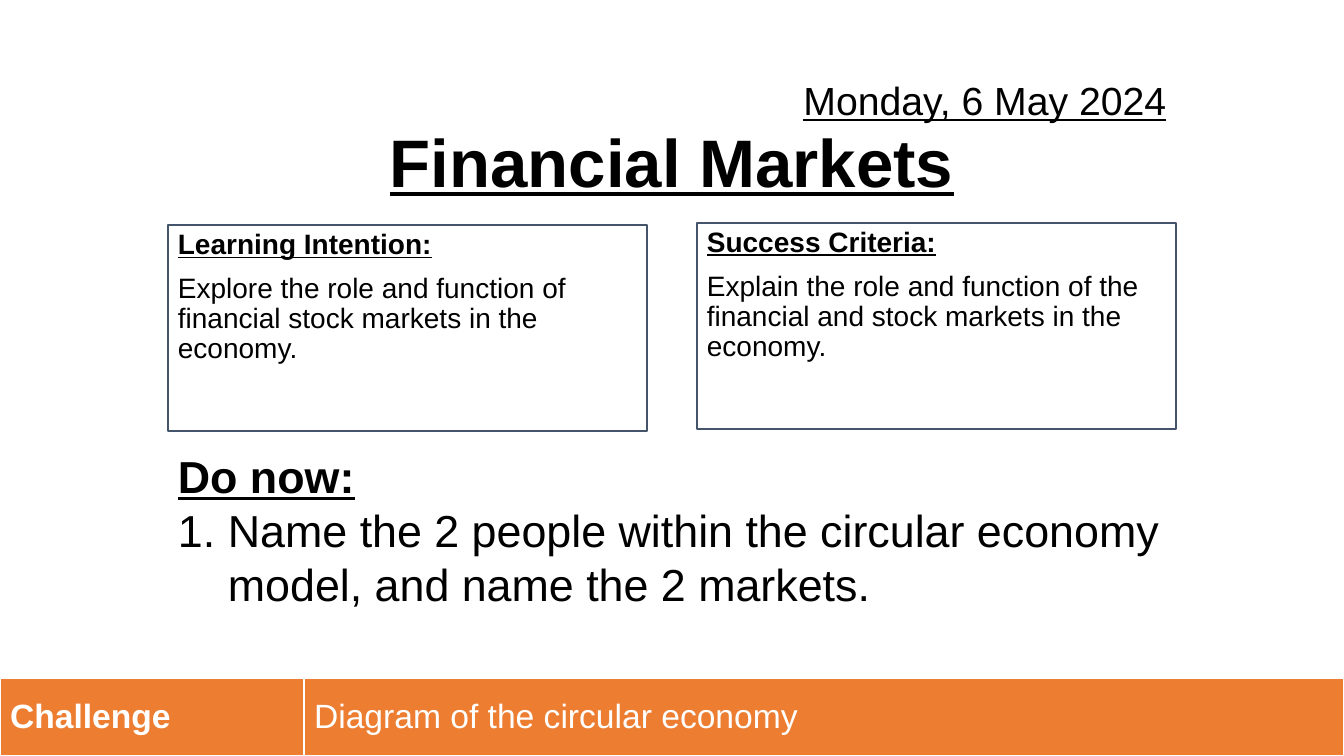
from lxml import etree
from pptx import Presentation, util as u
from pptx.dml.color import RGBColor
from pptx.enum import shapes, text
from pptx.oxml.ns import qn

SCALE = 914400 / 100.8
BLACK, WHITE, NAVY, ORANGE = "000000", "FFFFFF", "44546A", "ED7D31"
LEFT, RIGHT, MID = text.PP_ALIGN.LEFT, text.PP_ALIGN.RIGHT, text.PP_ALIGN.CENTER


def px(n):
    return u.Emu(round(n * SCALE))


def rgb(code):
    return RGBColor.from_string(code)


class Deck:
    def __init__(self, wide, high, font):
        self.prs = Presentation()
        self.prs.slide_width, self.prs.slide_height = px(wide), px(high)
        self.font = font
        self.slide = self.prs.slides.add_slide(self.prs.slide_layouts[6])

    def run(self, para, words, size, color=BLACK, bold=False, under=False):
        run = para.add_run()
        run.text = words
        font = run.font
        font.name, font.size = self.font, u.Pt(size)
        font.bold, font.underline = bold, under
        font.color.rgb = rgb(color)

    def text(self, at, words, size, bold=False, align=LEFT, line=1.0,
             anchor=text.MSO_ANCHOR.TOP):
        """Add an underlined line of text in its own box; return the frame."""
        frame = self.slide.shapes.add_textbox(*map(px, at)).text_frame
        frame.word_wrap = True
        frame.vertical_anchor = anchor
        para = frame.paragraphs[0]
        para.alignment, para.line_spacing = align, line
        self.run(para, words, size, bold=bold, under=True)
        return frame

    def number(self, frame, words, size, indent):
        """Add an automatically numbered paragraph with a hanging indent."""
        para = frame.add_paragraph()
        props = para._p.get_or_add_pPr()
        props.set("marL", str(px(indent)))
        props.set("indent", str(-px(indent)))
        etree.SubElement(props, qn("a:buFont"), typeface="+mj-lt")
        etree.SubElement(props, qn("a:buAutoNum"), type="arabicPeriod")
        self.run(para, words, size)

    def card(self, at, head, body):
        box = self.slide.shapes.add_shape(shapes.MSO_SHAPE.RECTANGLE, *map(px, at))
        box.shadow.inherit = False
        box.fill.background()
        box.line.color.rgb, box.line.width = rgb(NAVY), u.Pt(1.5)
        frame = box.text_frame
        frame.word_wrap = True
        frame.vertical_anchor = text.MSO_ANCHOR.TOP
        first, second = frame.paragraphs[0], frame.add_paragraph()
        for para in (first, second):
            para.alignment, para.line_spacing = LEFT, 0.9
        second.space_before = u.Pt(10)
        self.run(first, head, 20, bold=True, under=True)
        self.run(second, body, 20)

    def edge(self, cell, *sides):
        """Draw white borders; sides go in the order L, R, T, B."""
        props = cell._tc.get_or_add_tcPr()
        for spot, side in enumerate(sides):
            line = etree.Element(qn("a:ln" + side), w=str(u.Pt(1)))
            fill = etree.SubElement(line, qn("a:solidFill"))
            etree.SubElement(fill, qn("a:srgbClr"), val=WHITE)
            props.insert(spot, line)

    def strip(self, at, cols):
        """Add a one-row table from (width, words, bold, sides) columns."""
        table = self.slide.shapes.add_table(1, len(cols), *map(px, at)).table
        table.first_row = table.horz_banding = False
        for i, (wide, words, bold, sides) in enumerate(cols):
            table.columns[i].width = px(wide)
            cell = table.cell(0, i)
            cell.vertical_anchor = text.MSO_ANCHOR.MIDDLE
            cell.fill.solid()
            cell.fill.fore_color.rgb = rgb(ORANGE)
            self.edge(cell, *sides)
            self.run(cell.text_frame.paragraphs[0], words, 24, WHITE, bold)


def main():
    deck = Deck(1344, 756, "Arial")
    deck.text((168, 124, 1008, 116), "Financial Markets", 48, True, MID, 0.9)
    deck.card((168, 225, 479, 206), "Learning Intention:",
              "Explore the role and function of financial stock markets in the economy.")
    deck.text((603, 80, 573, 40), "Monday, 6 May 2024", 28, align=RIGHT,
              anchor=text.MSO_ANCHOR.MIDDLE)
    deck.card((697, 223, 479, 206), "Success Criteria:",
              "Explain the role and function of the financial and stock markets in the economy.")
    task = deck.text((168, 444, 1008, 228), "Do now:", 32, True)
    deck.number(task, "Name the 2 people within the circular economy model, "
                "and name the 2 markets.", 32, 50)
    deck.strip((0, 678, 1344, 78), [
        (304, "Challenge", True, "RB"),
        (1040, "Diagram of the circular economy", False, "LB")])
    deck.prs.save("out.pptx")


if __name__ == "__main__":
    main()
